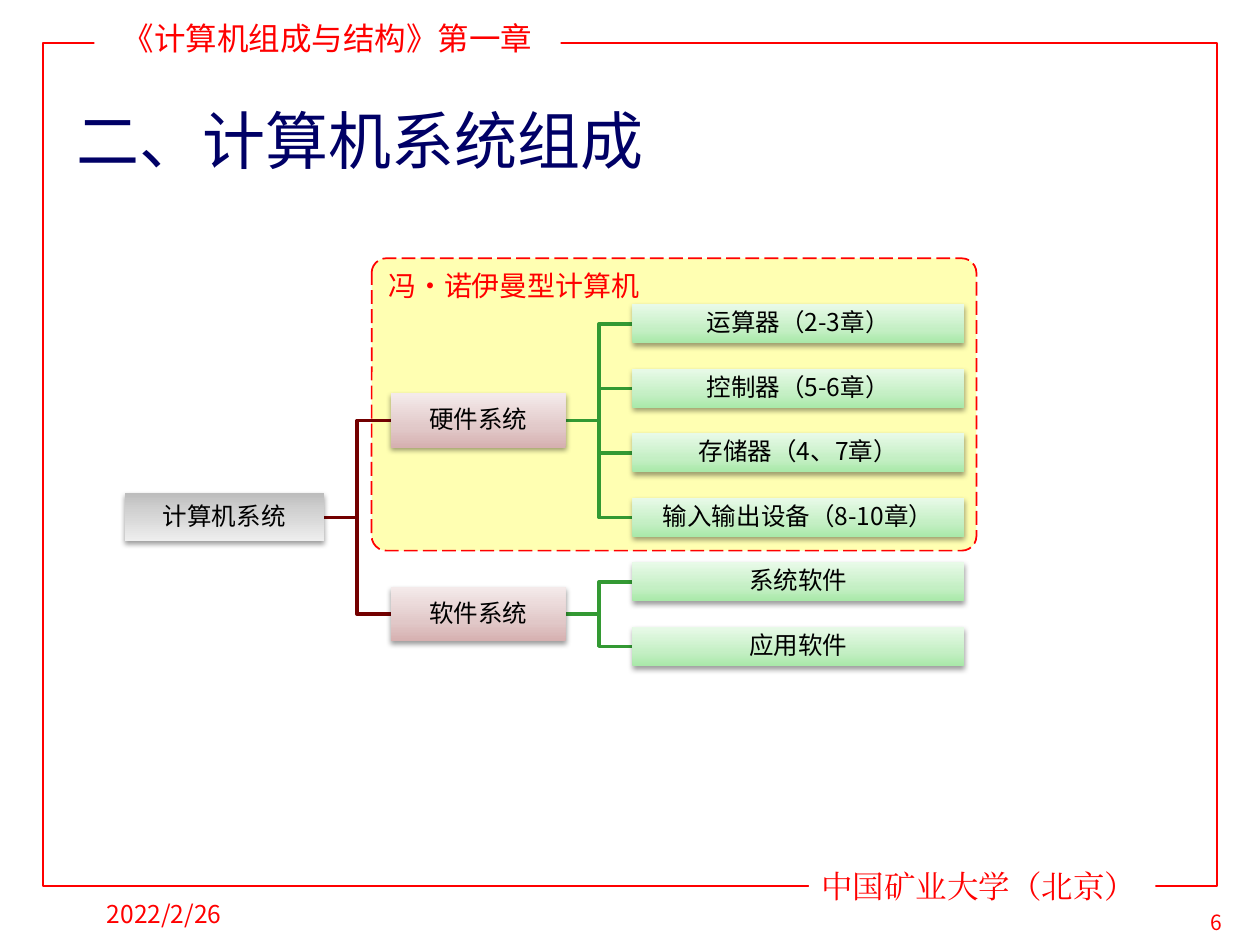
from copy import deepcopy
from dataclasses import dataclass

from lxml import etree
from pptx import Presentation
from pptx.dml.color import RGBColor
from pptx.enum import dml, shapes, text
from pptx.oxml import ns
from pptx.util import Inches, Pt


@dataclass(frozen=True)
class Theme:
    sans: str = "Noto Sans CJK SC"
    serif: str = "Times New Roman"
    red: str = "FF0000"
    navy: str = "000066"
    black: str = "000000"
    white: str = "FFFFFF"
    yellow: str = "FFFFB2"
    maroon_line: str = "730000"
    green_line: str = "339933"
    gray: tuple = ("BDBDBD", "D1D1D1", "EEEEEE")
    rose: tuple = ("D6B0B0", "E1C8C8", "F4EAEA")
    green: tuple = ("A9E9A9", "C4EFC4", "E8FAE8")
    title: int = 36
    band: int = 18
    label: int = 16
    node: int = 14
    number: int = 12


theme = Theme()
rgb = RGBColor.from_string
LEFT, CENTER = text.PP_ALIGN.LEFT, text.PP_ALIGN.CENTER
TOP, MIDDLE = text.MSO_ANCHOR.TOP, text.MSO_ANCHOR.MIDDLE

deck = Presentation()
deck.slide_width, deck.slide_height = Inches(10), Inches(7.5)
page = deck.slides.add_slide(deck.slide_layouts[6])


def write(box, words, size, color, font=theme.sans, align=LEFT, anchor=MIDDLE):
    frame = box.text_frame
    frame.word_wrap = True
    frame.vertical_anchor = anchor
    para = frame.paragraphs[0]
    para.text = words
    para.alignment = align
    para.font.name, para.font.size = font, Pt(size)
    para.font.color.rgb = rgb(color)
    latin = para._p.find(".//" + ns.qn("a:latin"))
    east = etree.Element(ns.qn("a:ea"), typeface=font)
    latin.addnext(east)
    return para


def add_node(words, left, middle, width, height, colors, angle):
    box = page.shapes.add_shape(
        shapes.MSO_SHAPE.RECTANGLE,
        Inches(left), Inches(middle - height / 2), Inches(width), Inches(height))
    box.line.fill.background()
    # Three-stop gradient
    box.fill.gradient()
    box.fill.gradient_angle = angle
    stops = box._element.spPr.find(".//" + ns.qn("a:gsLst"))
    stops.insert(1, deepcopy(stops[0]))
    for stop, position, color in zip(box.fill.gradient_stops, (0, 0.35, 1), colors):
        stop.position = position
        stop.color.rgb = rgb(color)
    # Soft shadow below
    box.shadow.inherit = False
    effects = box._element.spPr.find(ns.qn("a:effectLst"))
    shadow = etree.SubElement(
        effects, ns.qn("a:outerShdw"), blurRad=str(Pt(3.1)), dist=str(Pt(1.6)),
        dir="5400000", rotWithShape="0")
    tint = etree.SubElement(shadow, ns.qn("a:srgbClr"), val=theme.black)
    etree.SubElement(tint, ns.qn("a:alpha"), val="38000")
    # Centred label
    frame = box.text_frame
    frame.margin_left = frame.margin_right = Inches(0.01)
    frame.margin_top = frame.margin_bottom = Inches(0.01)
    para = write(box, words, theme.node, theme.black, align=CENTER)
    para.line_spacing = 0.9


# Page frame, with white bands that interrupt it
border = page.shapes.add_shape(
    shapes.MSO_SHAPE.RECTANGLE, Inches(0.34), Inches(0.34), Inches(9.32), Inches(6.69))
border.fill.background()
border.line.color.rgb = rgb(theme.red)
border.line.width = Pt(1)
border.shadow.inherit = False

bands = [
    ("《计算机组成与结构》第一章", 0.75, 0.1, 3.7, theme.sans, CENTER),
    ("中国矿业大学（北京）", 6.42, 6.83, 2.75, theme.serif, LEFT),
]
for words, left, top, width, font, align in bands:
    band = page.shapes.add_shape(
        shapes.MSO_SHAPE.RECTANGLE, Inches(left), Inches(top), Inches(width), Inches(0.4))
    band.fill.solid()
    band.fill.fore_color.rgb = rgb(theme.white)
    band.line.fill.background()
    band.shadow.inherit = False
    write(band, words, theme.band, theme.red, font, align)

# Title, date and page number
captions = [
    ("二、计算机系统组成", 0.51, 0.75, 9.06, 0.71, theme.title, theme.navy, LEFT),
    ("2022/2/26", 0.75, 7, 2.08, 0.5, theme.node, theme.red, LEFT),
    ("6", 9.33, 7.17, 0.65, 0.3, theme.number, theme.red, CENTER),
]
for words, left, top, width, height, size, color, align in captions:
    box = page.shapes.add_textbox(Inches(left), Inches(top), Inches(width), Inches(height))
    write(box, words, size, color, align=align)

# Von Neumann area
area = page.shapes.add_shape(
    shapes.MSO_SHAPE.ROUNDED_RECTANGLE,
    Inches(2.95), Inches(2.05), Inches(4.8), Inches(2.32))
area.adjustments[0] = 0.05
area.fill.solid()
area.fill.fore_color.rgb = rgb(theme.yellow)
area.line.color.rgb = rgb(theme.red)
area.line.width = Pt(1)
area.line.dash_style = dml.MSO_LINE.LONG_DASH
area.shadow.inherit = False
write(area, "冯•诺伊曼型计算机", theme.label, theme.red, anchor=TOP)

# Tree: each parent sits at the mean height of its children
branches = {
    "硬件系统": ["运算器（2-3章）", "控制器（5-6章）", "存储器（4、7章）", "输入输出设备（8-10章）"],
    "软件系统": ["系统软件", "应用软件"],
}
root_left, root_width = 0.99, 1.58
branch_left, branch_width = 3.1, 1.39
leaf_left, leaf_width = 5.02, 2.63
first_leaf, last_leaf = 2.57, 5.13
leaf_count = sum(len(leaves) for leaves in branches.values())
pitch = (last_leaf - first_leaf) / (leaf_count - 1)

nodes, links, branch_middles = [], [], []
row = 0
for branch, leaves in branches.items():
    middles = [first_leaf + pitch * (row + index) for index in range(len(leaves))]
    row += len(leaves)
    center = sum(middles) / len(middles)
    branch_middles.append(center)
    nodes.append((branch, branch_left, center, branch_width, 0.43, theme.rose, 90))
    for leaf, middle in zip(leaves, middles):
        nodes.append((leaf, leaf_left, middle, leaf_width, 0.31, theme.green, 90))
        links.append((branch_left + branch_width, center, leaf_left, middle, theme.green_line))

root_middle = sum(branch_middles) / len(branch_middles)
nodes.append(("计算机系统", root_left, root_middle, root_width, 0.38, theme.gray, 270))
for middle in branch_middles:
    links.append((root_left + root_width, root_middle, branch_left, middle, theme.maroon_line))

# Elbow links behind the nodes
for start_x, start_y, end_x, end_y, color in links:
    bend = Inches((start_x + end_x) / 2)
    builder = page.shapes.build_freeform(Inches(start_x), Inches(start_y))
    builder.add_line_segments(
        [(bend, Inches(start_y)), (bend, Inches(end_y)), (Inches(end_x), Inches(end_y))],
        close=False)
    link = builder.convert_to_shape()
    link.fill.background()
    link.line.color.rgb = rgb(color)
    link.line.width = Pt(2)
    link.shadow.inherit = False

for node in nodes:
    add_node(*node)

deck.save("out.pptx")
